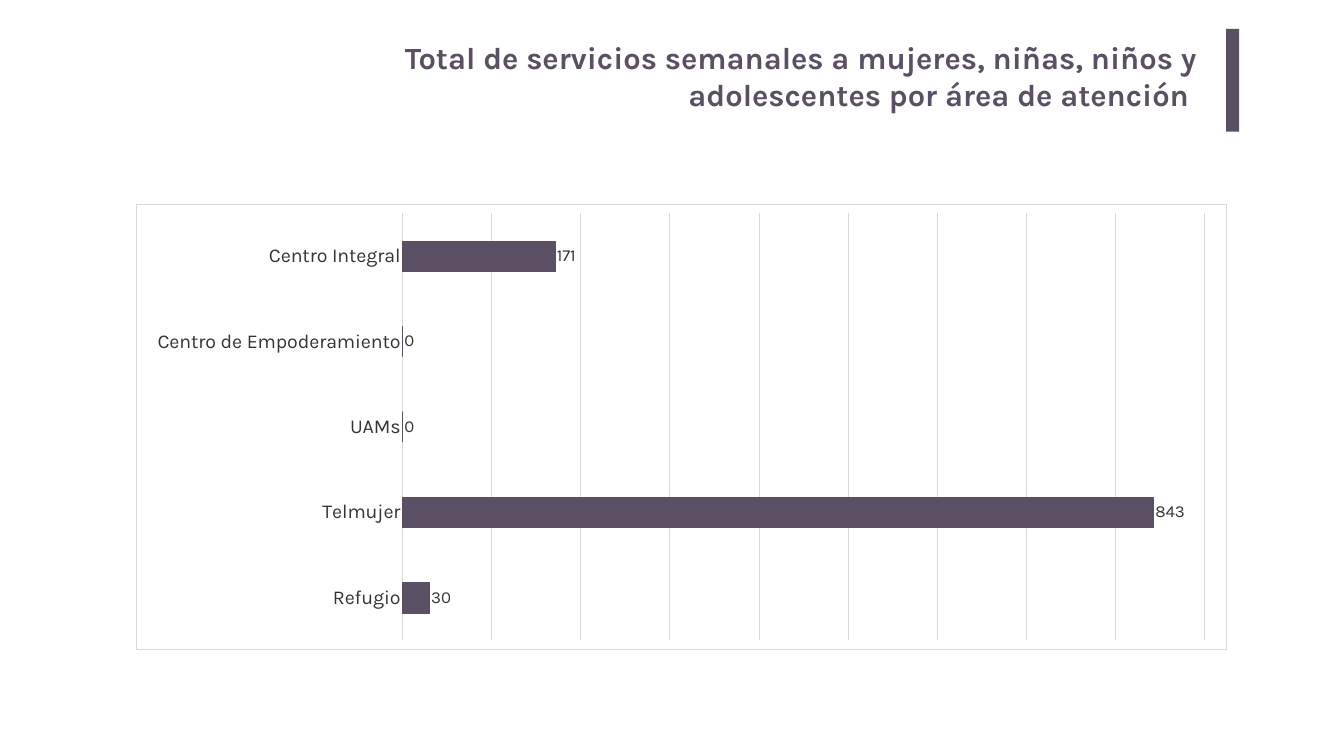
from typing import NamedTuple

from lxml.etree import fromstring
from pptx import Presentation
from pptx.chart.data import CategoryChartData
from pptx.dml.color import RGBColor
from pptx.enum.chart import XL_CHART_TYPE, XL_LABEL_POSITION, XL_TICK_MARK
from pptx.enum.shapes import MSO_SHAPE
from pptx.enum.text import MSO_ANCHOR, PP_ALIGN
from pptx.oxml.ns import nsdecls
from pptx.util import Cm, Pt

FONT = "Karla"
PURPLE, GREY, INK, WHITE = "5B4F63", "D9D9D9", "333333", "FFFFFF"
HAIRLINE = Pt(0.75)


class Service(NamedTuple):
    area: str
    weekly_total: int


SERVICES = [
    Service("Centro Integral", 171),
    Service("Centro de Empoderamiento", 0),
    Service("UAMs", 0),
    Service("Telmujer", 843),
    Service("Refugio", 30),
]


def paint(color_format, hex_color: str) -> None:
    color_format.rgb = RGBColor.from_string(hex_color)


def style_font(font, *, size: float, color: str, bold: bool = False) -> None:
    font.name, font.size, font.bold = FONT, Pt(size), bold
    paint(font.color, color)


def style_line(line, color: str) -> None:
    line.width = HAIRLINE
    line.fill.solid()
    paint(line.color, color)


def add_text(slide, text: str, *, left, top, width, height,
             size: float, color: str, bold: bool = False,
             align=PP_ALIGN.LEFT) -> None:
    frame = slide.shapes.add_textbox(left, top, width, height).text_frame
    frame.word_wrap = True
    frame.vertical_anchor = MSO_ANCHOR.TOP
    frame.margin_left = frame.margin_right = Cm(0.51)
    frame.margin_top = frame.margin_bottom = Cm(0.25)
    paragraph = frame.paragraphs[0]
    paragraph.alignment = align
    run = paragraph.add_run()
    run.text = text
    style_font(run.font, size=size, color=color, bold=bold)


def frame_chart(chart, fill: str, border: str) -> None:
    """Give the whole chart area a fill and a border."""
    area = fromstring(
        f'<c:spPr {nsdecls("c", "a")}>'
        f'<a:solidFill><a:srgbClr val="{fill}"/></a:solidFill>'
        f'<a:ln w="{int(HAIRLINE)}"><a:solidFill><a:srgbClr val="{border}"/>'
        '</a:solidFill></a:ln></c:spPr>')
    chart.element.chart.addnext(area)


def add_service_chart(slide, services: list[Service], *,
                      left, top, width, height) -> None:
    data = CategoryChartData()
    data.categories = [service.area for service in services]
    data.add_series("Series 1", [service.weekly_total for service in services])
    chart = slide.shapes.add_chart(XL_CHART_TYPE.BAR_CLUSTERED,
                                   left, top, width, height, data).chart
    chart.has_legend = chart.has_title = False
    style_font(chart.font, size=10, color="000000")
    frame_chart(chart, WHITE, GREY)

    # Axes
    areas = chart.category_axis
    areas.reverse_order = True
    areas.major_tick_mark = areas.minor_tick_mark = XL_TICK_MARK.NONE
    style_font(areas.tick_labels.font, size=28, color=INK)
    style_line(areas.format.line, GREY)
    totals = chart.value_axis
    totals.visible = False
    totals.minimum_scale, totals.maximum_scale = 0, 900
    totals.major_unit = 100
    totals.has_major_gridlines = True
    style_line(totals.major_gridlines.format.line, GREY)

    # Bars and their values
    plot = chart.plots[0]
    plot.gap_width = 182
    plot.vary_by_categories = False
    bars = plot.series[0]
    bars.format.fill.solid()
    paint(bars.format.fill.fore_color, PURPLE)
    style_line(bars.format.line, PURPLE)
    labels = bars.data_labels
    labels.show_value = True
    labels.position = XL_LABEL_POSITION.OUTSIDE_END
    style_font(labels.font, size=24, color=INK)


def main() -> None:
    presentation = Presentation()
    presentation.slide_width, presentation.slide_height = Cm(67.74), Cm(38.1)
    slide = presentation.slides.add_slide(presentation.slide_layouts[6])

    # Heading with its accent bar
    add_text(slide,
             "Total de servicios semanales a mujeres, niñas, niños y "
             "adolescentes por área de atención ",
             left=Cm(16.66), top=Cm(1.7), width=Cm(44.2), height=Cm(5.18),
             size=44, color=PURPLE, bold=True, align=PP_ALIGN.RIGHT)
    accent = slide.shapes.add_shape(MSO_SHAPE.RECTANGLE, Cm(61.8), Cm(1.45),
                                    Cm(0.66), Cm(5.18))
    accent.shadow.inherit = False
    accent.fill.solid()
    paint(accent.fill.fore_color, PURPLE)
    accent.line.fill.background()

    # Weekly services by area
    add_service_chart(slide, SERVICES, left=Cm(6.83), top=Cm(10.29),
                      width=Cm(54.97), height=Cm(22.45))

    presentation.save("out.pptx")


if __name__ == "__main__":
    main()
